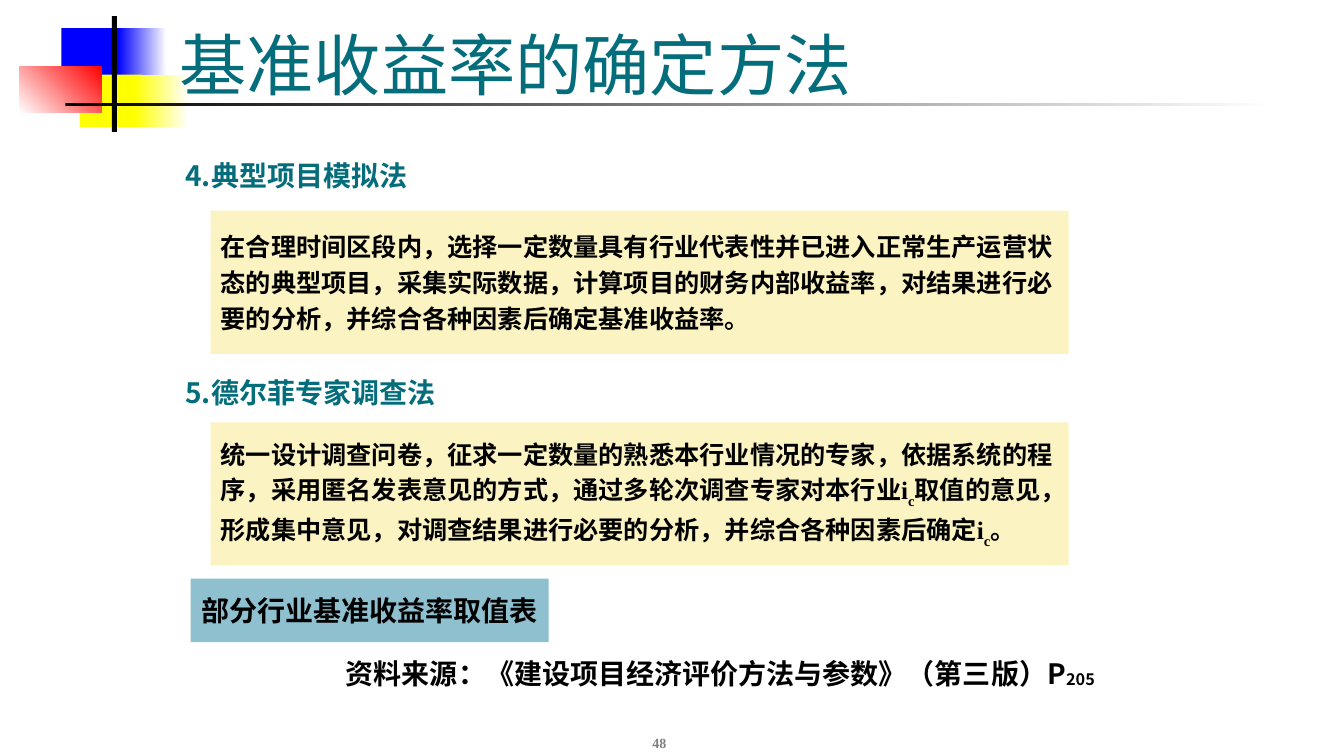
from lxml.etree import SubElement
from pptx import Presentation
from pptx.dml.color import RGBColor
from pptx.enum.shapes import MSO_SHAPE
from pptx.enum.text import MSO_ANCHOR, MSO_AUTO_SIZE, PP_ALIGN
from pptx.oxml.ns import qn
from pptx.util import Inches, Pt

CELL = Inches(0.1)  # grid step, columns and rows
SANS, SERIF = "Noto Sans CJK SC", "Times New Roman"
TEAL, CREAM, BLACK, WHITE = "036D7B", "FBF3C1", "000000", "FFFFFF"

# left, top, width, height, colours, angle
DECOR = [
    (6.1, 2.8, 6.4, 5.2, ["0000FF"], 0),
    (11.7, 2.8, 4.8, 5.2, ["0000FF", WHITE], 0),
    (7.9, 7.4, 6.2, 5.2, ["FFFF00"], 0),
    (13.3, 7.4, 5.4, 5.2, ["FFFF00", WHITE], 0),
    (1.9, 6.6, 8.2, 4.6, [WHITE, "FF0000"], 45),
    (11.1, 1.6, 0.5, 11.5, [BLACK], 0),
    (6.5, 10.2, 120, 0.3, [BLACK, WHITE], 0),
]

# heading row, heading, box row, lines; _x_ marks a subscript
METHODS = [
    (15.2, "4.典型项目模拟法", 20.9, [
        "在合理时间区段内，选择一定数量具有行业代表性并已进入正常生产运营状",
        "态的典型项目，采集实际数据，计算项目的财务内部收益率，对结果进行必",
        "要的分析，并综合各种因素后确定基准收益率。"]),
    (36.8, "5.德尔菲专家调查法", 41.9, [
        "统一设计调查问卷，征求一定数量的熟悉本行业情况的专家，依据系统的程",
        "序，采用匿名发表意见的方式，通过多轮次调查专家对本行业i_c_取值的意见，",
        "形成集中意见，对调查结果进行必要的分析，并综合各种因素后确定i_c_。"]),
]


def grid(*cells):
    return [round(n * CELL) for n in cells]


def color(code):
    return RGBColor.from_string(code)


def paint(shape, codes, angle=0):
    fill = shape.fill
    if len(codes) == 1:
        fill.solid()
        fill.fore_color.rgb = color(codes[0])
        return
    fill.gradient()
    fill.gradient_angle = angle
    for stop, code in zip(fill.gradient_stops, codes):
        stop.color.rgb = color(code)


def add_block(slide, cells, codes, angle=0, kind=MSO_SHAPE.RECTANGLE):
    shape = slide.shapes.add_shape(kind, *grid(*cells))
    shape.shadow.inherit = False
    shape.line.fill.background()
    paint(shape, codes, angle)
    return shape


def style(run, size, face, code, bold):
    font = run.font
    font.size, font.name, font.bold = Pt(size), face, bold
    font.color.rgb = color(code)
    SubElement(font._element, qn("a:ea")).set("typeface", SANS)


def write(shape, lines, size, face, code=BLACK, bold=True, wrap=True,
          align=PP_ALIGN.LEFT, anchor=MSO_ANCHOR.TOP, drop=-25):
    frame = shape.text_frame
    frame.auto_size = MSO_AUTO_SIZE.NONE
    frame.word_wrap, frame.vertical_anchor = wrap, anchor
    for row, line in enumerate(lines):
        para = frame.add_paragraph() if row else frame.paragraphs[0]
        para.alignment = align
        if row:
            para.space_before = Pt(4)
        head, *rest = line.split("_")
        para.text = head
        for part in rest:
            para.add_run().text = part
        for spot, run in enumerate(para.runs):
            style(run, size, face, code, bold)
            if spot % 2:
                run.font._element.set("baseline", str(drop * 1000))


def add_label(slide, cells, text, size, face, **look):
    write(slide.shapes.add_textbox(*grid(*cells)), [text], size, face, **look)


def add_method(slide, top, head, row, lines):
    add_label(slide, (17.4, top, 44.1, 4.3), head, 20, SANS, code=TEAL)
    box = add_block(slide, (20.9, row, 85.1, 14.2), [CREAM])
    write(box, lines, 18, SERIF, wrap=False, anchor=MSO_ANCHOR.MIDDLE)


def add_button(slide, text):
    button = add_block(slide, (18.9, 57.4, 35.5, 6.3), ["1E83A2"],
                       kind=MSO_SHAPE.ACTION_BUTTON_CUSTOM)
    tint = button.fill._xPr.find(qn("a:solidFill"))[0]
    SubElement(tint, qn("a:alpha")).set("val", "50000")
    write(button, [text], 20, SANS, wrap=False,
          align=PP_ALIGN.CENTER, anchor=MSO_ANCHOR.MIDDLE)


def add_title(slide, text):
    title = slide.shapes.title
    title.left, title.top, title.width, title.height = grid(16.8, 1.6, 113.6, 9.2)
    write(title, [text], 48, SERIF, TEAL, bold=False, anchor=MSO_ANCHOR.BOTTOM)
    title.element.getparent().append(title.element)  # in front of the blocks


def main():
    deck = Presentation()
    deck.slide_width, deck.slide_height = Inches(13.33), Inches(7.5)
    slide = deck.slides.add_slide(deck.slide_layouts[5])

    # Corner blocks, rule and title
    for *cells, codes, angle in DECOR:
        add_block(slide, cells, codes, angle)
    add_title(slide, "基准收益率的确定方法")

    # Methods
    for method in METHODS:
        add_method(slide, *method)

    # Button, source and page number
    add_button(slide, "部分行业基准收益率取值表")
    add_label(slide, (28.7, 64.6, 85.5, 4.3),
              "资料来源：《建设项目经济评价方法与参数》（第三版）P_205",
              20, SANS, align=PP_ALIGN.CENTER, drop=-5)
    add_label(slide, (51.5, 70, 27.8, 5), "48", 10, SERIF, code="808080",
              align=PP_ALIGN.CENTER, anchor=MSO_ANCHOR.BOTTOM)
    deck.save("out.pptx")


if __name__ == "__main__":
    main()
